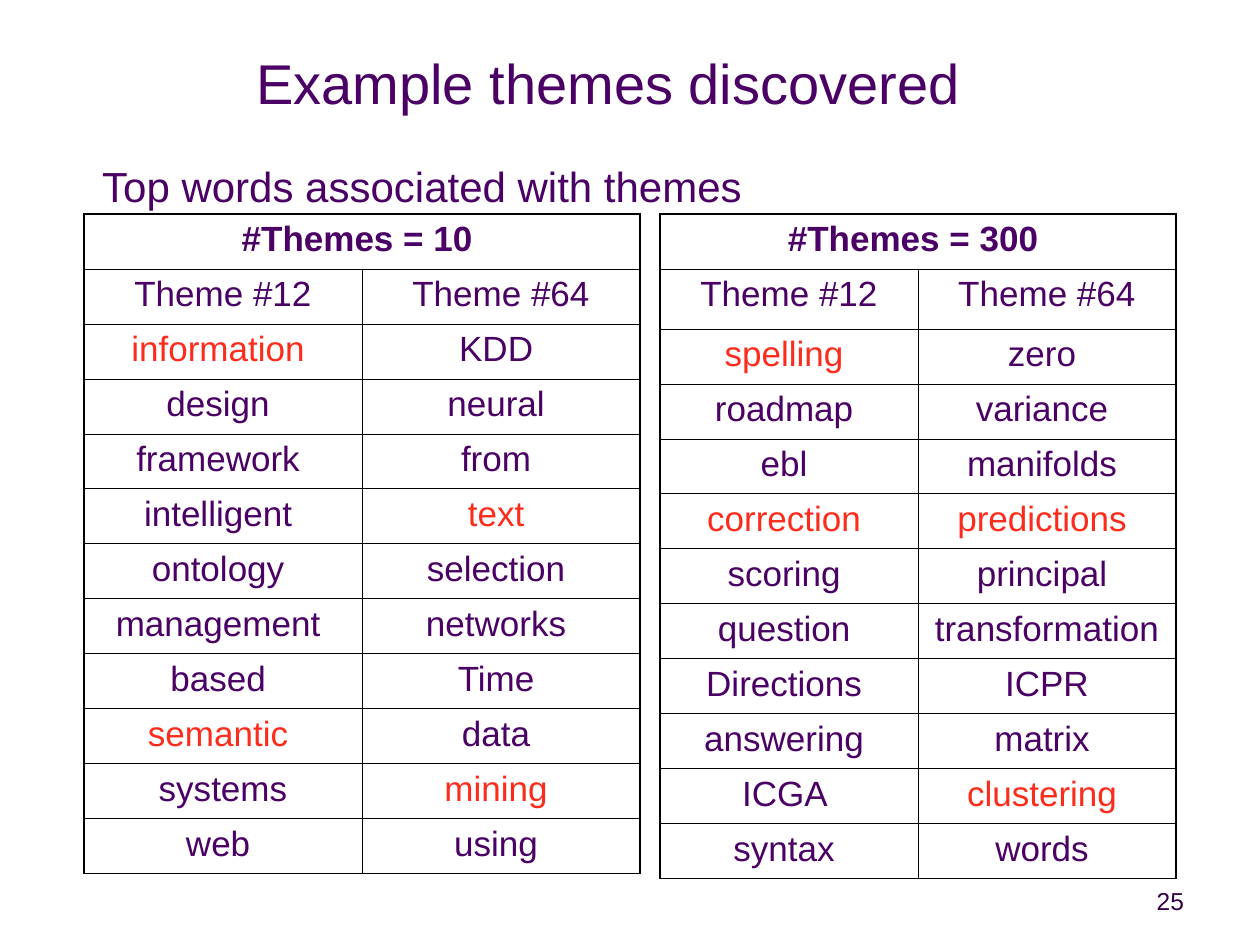
from dataclasses import dataclass

from lxml import etree
from pptx import Presentation
from pptx.dml.color import RGBColor
from pptx.enum.text import MSO_ANCHOR, PP_ALIGN
from pptx.oxml.ns import qn
from pptx.util import Emu, Pt

EMU_PER_PX = 914400 // 126
CENTER, RIGHT = PP_ALIGN.CENTER, PP_ALIGN.RIGHT
TOP, MIDDLE = MSO_ANCHOR.TOP, MSO_ANCHOR.MIDDLE

FONT = "Arial"
PURPLE, DARK_PURPLE, RED, BLACK = "4A0064", "350048", "FC2C1C", "000000"
OUTER_LINE, INNER_LINE = Pt(1.08), Pt(0.45)
TABLE_TOP, ROW_HEIGHT = 214, 55
SIDE_INSET, END_INSET = 13, 6


@dataclass(frozen=True)
class Label:
    text: str
    left: int
    top: int
    width: int
    height: int
    size: int
    color: str = PURPLE
    align: PP_ALIGN = CENTER
    anchor: MSO_ANCHOR = TOP
    right_inset: int = SIDE_INSET
    top_inset: int = END_INSET


@dataclass(frozen=True)
class ThemeTable:
    heading: str
    left: int
    column_width: int
    subheading_height: int
    word_pairs: tuple[tuple[str, str], ...]
    highlighted: frozenset[str]


LABELS = (
    # The wider right and top insets set the title left of centre and lower.
    Label("Example themes discovered", 63, -4, 1134, 158, 32,
          anchor=MIDDLE, right_inset=56, top_inset=20),
    Label("Top words associated with themes", -84, 155, 1012, 63, 24),
    Label("25", 903, 880, 294, 47, 14, DARK_PURPLE, RIGHT),
)

THEME_TABLES = (
    ThemeTable(
        "#Themes = 300 ", 660, 258, 60,
        (
            ("spelling ", "zero "),
            ("roadmap ", "variance "),
            ("ebl ", "manifolds "),
            ("correction ", "predictions "),
            ("scoring ", "principal "),
            ("question ", "transformation "),
            ("Directions ", "ICPR"),
            ("answering ", "matrix "),
            ("ICGA ", "clustering "),
            ("syntax ", "words "),
        ),
        frozenset({"spelling ", "correction ", "predictions ", "clustering "}),
    ),
    ThemeTable(
        "#Themes = 10 ", 84, 278, ROW_HEIGHT,
        (
            ("information ", "KDD "),
            ("design ", "neural "),
            ("framework ", "from "),
            ("intelligent ", "text "),
            ("ontology ", "selection "),
            ("management ", "networks "),
            ("based ", "Time "),
            ("semantic ", "data "),
            ("systems", "mining "),
            ("web ", "using "),
        ),
        frozenset({"information ", "text ", "semantic ", "mining "}),
    ),
)


def px(length: int) -> Emu:
    return Emu(length * EMU_PER_PX)


def rgb(color: str) -> RGBColor:
    return RGBColor.from_string(color)


def add_run(paragraph, text: str, size: int, color: str, bold: bool = False) -> None:
    run = paragraph.add_run()
    run.text = text
    run.font.name = FONT
    run.font.size = Pt(size)
    run.font.bold = bold
    run.font.color.rgb = rgb(color)


def set_insets(holder, right: int = SIDE_INSET, top: int = END_INSET) -> None:
    """Set the text margins of a text frame or a table cell."""
    holder.margin_left = px(SIDE_INSET)
    holder.margin_right = px(right)
    holder.margin_top = px(top)
    holder.margin_bottom = px(END_INSET)


def add_label(slide, label: Label) -> None:
    shape = slide.shapes.add_textbox(
        px(label.left), px(label.top), px(label.width), px(label.height))
    frame = shape.text_frame
    frame.word_wrap = True
    frame.vertical_anchor = label.anchor
    set_insets(frame, label.right_inset, label.top_inset)
    paragraph = frame.paragraphs[0]
    paragraph.alignment = label.align
    add_run(paragraph, label.text, label.size, label.color)


def set_borders(cell, outer_sides: set[str]) -> None:
    """Draw all four borders, heavier on the outer sides of the table."""
    properties = cell._tc.get_or_add_tcPr()
    for position, side in enumerate("LRTB"):
        width = OUTER_LINE if side in outer_sides else INNER_LINE
        line = etree.Element(qn(f"a:ln{side}"), w=str(int(width)))
        fill = etree.SubElement(line, qn("a:solidFill"))
        etree.SubElement(fill, qn("a:srgbClr"), val=BLACK)
        properties.insert(position, line)


def add_theme_table(slide, theme: ThemeTable) -> None:
    rows = ((theme.heading, ""), ("Theme #12", "Theme #64"), *theme.word_pairs)
    heights = [ROW_HEIGHT, theme.subheading_height] + [ROW_HEIGHT] * len(theme.word_pairs)
    table = slide.shapes.add_table(
        len(rows), 2, px(theme.left), px(TABLE_TOP),
        px(2 * theme.column_width), px(sum(heights))).table
    table.first_row = table.horz_banding = False
    for column in table.columns:
        column.width = px(theme.column_width)
    for row, height in zip(table.rows, heights):
        row.height = px(height)
    table.cell(0, 0).merge(table.cell(0, 1))

    for row_index, texts in enumerate(rows):
        is_heading = row_index == 0
        for column_index, text in enumerate(texts):
            cell = table.cell(row_index, column_index)
            cell.fill.background()
            set_insets(cell)
            outer_sides = {"LR"[column_index]}
            if is_heading:
                outer_sides = {"L", "R", "T"}
            elif row_index == len(rows) - 1:
                outer_sides.add("B")
            set_borders(cell, outer_sides)
            if text:
                paragraph = cell.text_frame.paragraphs[0]
                paragraph.alignment = CENTER
                color = RED if text in theme.highlighted else PURPLE
                add_run(paragraph, text, 20, color, is_heading)


def main() -> None:
    presentation = Presentation()
    presentation.slide_width = px(1260)
    presentation.slide_height = px(945)
    slide = presentation.slides.add_slide(presentation.slide_layouts[6])
    for theme in THEME_TABLES:
        add_theme_table(slide, theme)
    for label in LABELS:
        add_label(slide, label)
    presentation.save("out.pptx")


if __name__ == "__main__":
    main()
